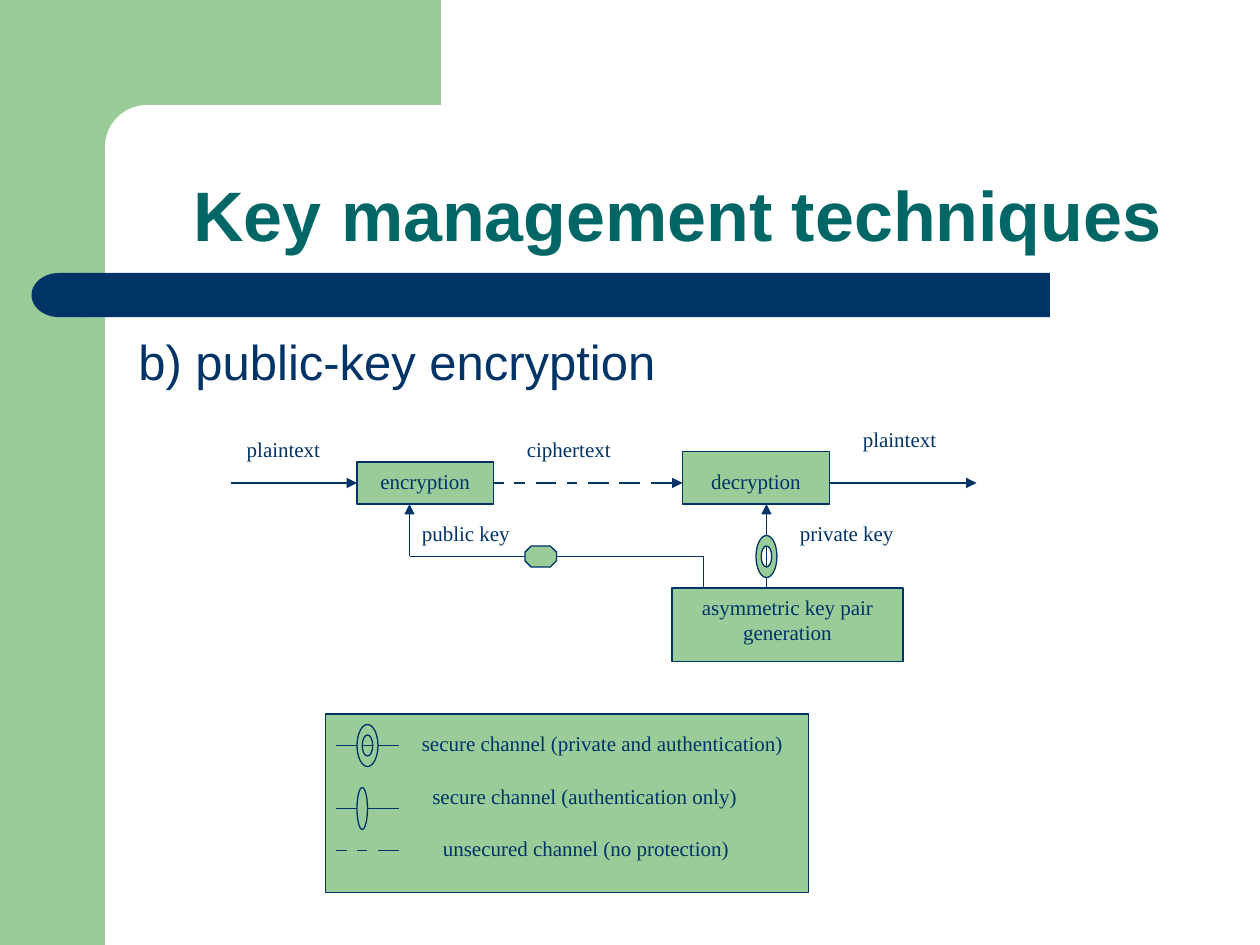
from lxml.etree import SubElement
from pptx import Presentation
from pptx.dml.color import RGBColor
from pptx.enum.shapes import MSO_CONNECTOR, MSO_SHAPE
from pptx.enum.text import MSO_ANCHOR, PP_ALIGN
from pptx.oxml.ns import qn
from pptx.util import Inches, Pt

GREEN, NAVY, TEAL, WHITE = "99CC99", "003366", "006666", "FFFFFF"
SANS, SERIF = "Arial", "Times New Roman"


def color(code):
    return RGBColor.from_string(code)


def unit(count):
    """The layout grid has twelve units to the inch."""
    return Inches(count / 12)


def place(box, x, y, w, h):
    """Grid box given relative to the corner of another box."""
    return box[0] + x, box[1] + y, w, h


def paint(shape, fill, line=None):
    shape.shadow.inherit = False
    shape.fill.solid()
    shape.fill.fore_color.rgb = color(fill)
    if line:
        shape.line.color.rgb = color(line)
        shape.line.width = Pt(0.75)
    else:
        shape.line.fill.background()
    return shape


def block(slide, kind, box, fill=GREEN, line=None):
    shape = slide.shapes.add_shape(kind, *map(unit, box))
    return paint(shape, fill, line)


def write(slide, text, box, size=12, font=SERIF, ink=NAVY, bold=False,
          align=PP_ALIGN.LEFT, anchor=MSO_ANCHOR.TOP, spacing=None):
    frame = slide.shapes.add_textbox(*map(unit, box)).text_frame
    frame.word_wrap = True
    frame.vertical_anchor = anchor
    para = frame.paragraphs[0]
    para.alignment = align
    para.line_spacing = spacing
    run = para.add_run()
    run.text = text
    run.font.size = Pt(size)
    run.font.name = font
    run.font.bold = bold
    run.font.color.rgb = color(ink)


def link(slide, box, start, end, arrow=False):
    ends = [unit(box[i] + point[i]) for point in (start, end) for i in (0, 1)]
    line = slide.shapes.add_connector(MSO_CONNECTOR.STRAIGHT, *ends)
    line.line.color.rgb = color(NAVY)
    line.line.width = Pt(0.75)
    if arrow:
        SubElement(line.line._get_or_add_ln(), qn("a:tailEnd"), type="triangle")
    SubElement(line._element.spPr, qn("a:effectLst"))


def dash(slide, box, y, spans, arrow=False):
    for span in spans:
        link(slide, box, (span[0], y), (span[1], y), arrow and span == spans[-1])


def ring(slide, box):
    """Oval with a half-size hole; the hole runs the opposite way."""
    x, y, w, h = map(unit, box)
    form = slide.shapes.build_freeform(x, y + h // 2)
    form.add_line_segments([(x + w // 2, y), (x + w, y + h // 2),
                            (x + w // 2, y + h)], close=True)
    shape = paint(form.convert_to_shape(), GREEN, NAVY)

    # Redraw the outline as two ovals of four curves each
    outline = next(shape._element.iter(qn("a:path")))
    for child in list(outline):
        outline.remove(child)

    def step(tag, points, ratio, turn):
        node = SubElement(outline, qn(tag))
        for px, py in points:
            SubElement(node, qn("a:pt"), x=str(round(w / 2 * (1 + ratio * px))),
                       y=str(round(h / 2 * (1 + ratio * turn * py))))

    k = 0.55
    for ratio, turn in ((1, 1), (0.5, -1)):
        px, py = -1, 0
        step("a:moveTo", [(px, py)], ratio, turn)
        for _ in range(4):
            qx, qy = -py, px
            step("a:cubicBezTo", [(px + k * qx, py + k * qy),
                                  (qx + k * px, qy + k * py), (qx, qy)], ratio, turn)
            px, py = qx, qy
        SubElement(outline, qn("a:close"))


def frame(slide, box):
    # Green corner with a rounded white cut-out
    block(slide, MSO_SHAPE.RECTANGLE, place(box, 0, 0, 10, box[3]))
    block(slide, MSO_SHAPE.RECTANGLE, place(box, 9, 0, 33, 14))
    cut = block(slide, MSO_SHAPE.ROUNDED_RECTANGLE, place(box, 10, 10, 67, 8), WHITE)
    cut.adjustments[0] = 0.5
    # Navy bar with a round left end
    block(slide, MSO_SHAPE.RECTANGLE, place(box, 8, 26, 92, 4.2), NAVY)
    cap = block(slide, MSO_SHAPE.FLOWCHART_DELAY, place(box, 3, 26, 5.2, 4.2), NAVY)
    cap.rotation = 180


def heading(slide, box):
    write(slide, "Key management techniques", place(box, 0, 0, box[2], 15),
          size=40, font=SANS, ink=TEAL, bold=True, align=PP_ALIGN.CENTER,
          anchor=MSO_ANCHOR.BOTTOM, spacing=0.9)
    write(slide, "b) public-key encryption", place(box, 0, 21, box[2], 49),
          size=28, font=SANS)


def diagram(slide, box):
    # Process boxes, each with the top and height of its text
    for text, x, y, w, h, top, tall in (
            ("encryption", 13, 4, 13, 4, 4, 3.6),
            ("decryption", 44, 3, 14, 5, 4, 3.6),
            ("asymmetric key pair generation", 43, 16, 22, 7, 16, 6)):
        block(slide, MSO_SHAPE.RECTANGLE, place(box, x, y, w, h), line=NAVY)
        write(slide, text, place(box, x, top, w, tall), align=PP_ALIGN.CENTER)
    # Message flow
    link(slide, box, (1, 6), (13, 6), arrow=True)
    dash(slide, box, 6, [(26, 27), (28, 29), (30, 32), (33, 34), (35, 37),
                         (38, 40), (41, 44)], arrow=True)
    link(slide, box, (58, 6), (72, 6), arrow=True)
    # Private key channel
    link(slide, box, (52, 16), (52, 8), arrow=True)
    ring(slide, place(box, 51, 11, 2, 4))
    # Public key channel
    link(slide, box, (46, 16), (46, 13))
    link(slide, box, (46, 13), (18, 13))
    link(slide, box, (18, 13), (18, 8), arrow=True)
    block(slide, MSO_SHAPE.OCTAGON, place(box, 29, 12, 3, 2), line=NAVY)
    # Labels
    write(slide, "plaintext", place(box, 0, 1, 12, 3.6), align=PP_ALIGN.CENTER)
    for text, x, y, w in (("ciphertext", 28, 1, 13), ("plaintext", 60, 0, 11),
                          ("public key", 18, 9, 11), ("private key", 54, 9, 13)):
        write(slide, text, place(box, x, y, w, 3.6))


def legend(slide, box):
    block(slide, MSO_SHAPE.RECTANGLE, box, line=NAVY)
    # Channel symbols
    for y in (3, 9):
        link(slide, box, (1, y), (7, y))
    ring(slide, place(box, 3, 1, 2, 4))
    block(slide, MSO_SHAPE.OVAL, place(box, 3, 7, 1, 4), line=NAVY)
    dash(slide, box, 13, [(1, 2), (3, 4), (5, 7)])
    # Meanings, each one step further in
    for i, text in enumerate(("secure channel (private and authentication)",
                              "secure channel (authentication only)",
                              "unsecured channel (no protection)")):
        write(slide, text, place(box, 8 + i, 1 + 5 * i, 37 - 2 * i, 3.6))


def main():
    deck = Presentation()
    deck.slide_width, deck.slide_height = Inches(10), Inches(7.5)
    slide = deck.slides.add_slide(deck.slide_layouts[6])
    frame(slide, (0, 0, 120, 90))
    heading(slide, (12, 10, 105, 70))
    diagram(slide, (21, 40, 72, 23))
    legend(slide, (31, 68, 46, 17))
    deck.save("out.pptx")


if __name__ == "__main__":
    main()
